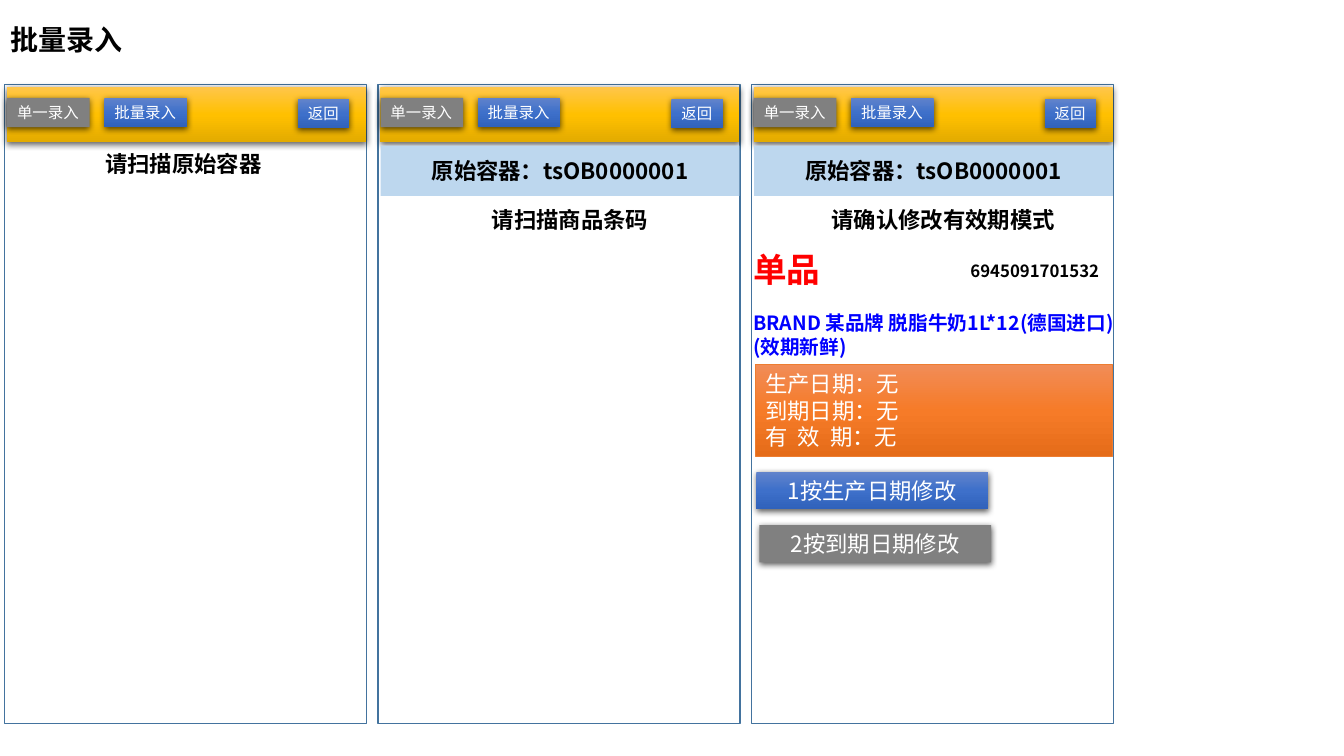
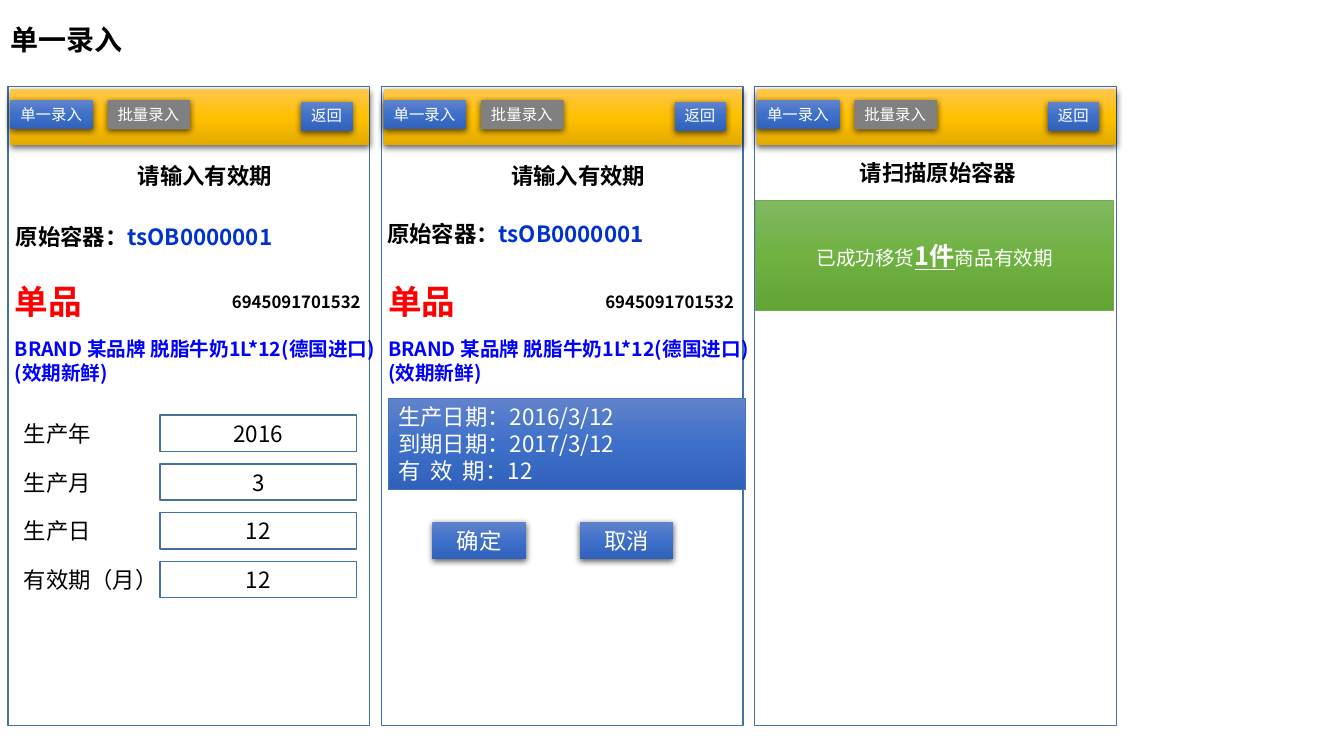
from copy import deepcopy

from lxml.etree import SubElement
from pptx import Presentation
from pptx.dml.color import RGBColor
from pptx.enum.shapes import MSO_SHAPE as Preset
from pptx.enum.text import MSO_ANCHOR as Anchor, MSO_AUTO_SIZE as AutoSize, PP_ALIGN as Align
from pptx.oxml.ns import qn
from pptx.util import Pt

FONT = "Noto Sans CJK SC"
WHITE, BLACK, GREY = "FFFFFF", "000000", "808080"
RED, PRODUCT_BLUE, CODE_BLUE = "FF0000", "0000FF", "0033CC"
OUTLINE, PALE_BLUE = "43739E", "BDD7EE"
GOLD = ("FFC64B", "FFC000", "E3AB00")
BLUE = ("6183CB", "3E70CA", "3062BB")
ORANGE = ("F18C57", "F67B28", "E56C19")
GREEN = ("81B861", "6FB242", "62A336")

SCREEN_WIDTH, SCREEN_HEIGHT, PITCH = 258.5, 456.5, 266.7
BAR_WIDTH, BAR_HEIGHT = 256.3, 39.6
MODES = ("单一录入", "批量录入")
CONTAINER = "tsOB0000001"
PRODUCT = "BRAND 某品牌 脱脂牛奶1L*12(德国进口)(效期新鲜)"


def colour(code):
    return RGBColor.from_string(code)


def add_span(para, text, size=16, color=BLACK, bold=False, underline=False, spacing=0, font=FONT):
    span = para.add_run()
    span.text = text
    span.font.size = Pt(size)
    span.font.bold = bold
    span.font.underline = underline
    span.font.name = font
    span.font.color.rgb = colour(color)
    properties = span.font._element
    SubElement(properties, qn("a:ea")).set("typeface", FONT)
    if spacing:
        properties.set("spc", str(round(spacing * 100)))


def write(box, *lines, align=Align.LEFT, anchor=Anchor.TOP, wrap=True, line_spacing=None, **style):
    frame = box.text_frame
    frame.word_wrap = wrap
    frame.auto_size = AutoSize.NONE
    frame.vertical_anchor = anchor
    for number, line in enumerate(lines):
        para = frame.add_paragraph() if number else frame.paragraphs[0]
        para.alignment = align
        para.line_spacing = line_spacing
        for text, changes in [(line, {})] if isinstance(line, str) else line:
            add_span(para, text, **{**style, **changes})


def paint(shape, fill):
    if fill is None:
        shape.fill.background()
    elif isinstance(fill, str):
        shape.fill.solid()
        shape.fill.fore_color.rgb = colour(fill)
    else:
        shape.fill.gradient()
        shape.fill.gradient_angle = 270
        stops = shape._element.spPr.find(".//" + qn("a:gsLst"))
        stops.append(deepcopy(stops[-1]))
        for stop, position, code in zip(shape.fill.gradient_stops, (0, 0.5, 1), fill):
            stop.position = position
            stop.color.rgb = colour(code)


def cast_shadow(shape):
    effects = shape._element.spPr.find(qn("a:effectLst"))
    shadow = SubElement(effects, qn("a:outerShdw"), blurRad=str(Pt(4.5)), dist=str(Pt(1.5)),
                        dir="5400000", algn="ctr", rotWithShape="0")
    tone = SubElement(shadow, qn("a:srgbClr"), val=BLACK)
    SubElement(tone, qn("a:alpha"), val="63000")


def add_block(page, left, top, width, height, fill=None, line=None, line_width=1, raised=False):
    block = page.shapes.add_shape(Preset.RECTANGLE, Pt(left), Pt(top), Pt(width), Pt(height))
    block.shadow.inherit = False
    paint(block, fill)
    if line:
        block.line.color.rgb = colour(line)
        block.line.width = Pt(line_width)
    else:
        block.line.fill.background()
    if raised:
        cast_shadow(block)
    return block


def add_text(page, left, top, width, height, *lines, **style):
    box = page.shapes.add_textbox(Pt(left), Pt(top), Pt(width), Pt(height))
    write(box, *lines, **style)


def add_tab(page, left, top, width, text, fill=BLUE):
    tab = add_block(page, left, top, width, 20.9, fill, raised=True)
    write(tab, text, size=11, color=WHITE, wrap=False)


def add_button(page, left, top, width, text, fill=BLUE):
    button = add_block(page, left, top, width, 26.6, fill, raised=True)
    write(button, text, color=WHITE, align=Align.CENTER)


def add_screen(page, left, top, active):
    add_block(page, left, top, SCREEN_WIDTH, SCREEN_HEIGHT, WHITE, OUTLINE)
    add_block(page, left + 1.8, top + 1.8, BAR_WIDTH, BAR_HEIGHT, GOLD, raised=True)
    for number, mode in enumerate(MODES):
        add_tab(page, left + 1.8 + number * 69.5, top + 9.6, 59, mode, BLUE if mode == active else GREY)
    add_tab(page, left + 209.6, top + 10.5, 36.7, "返回")


def add_prompt(page, left, top, text):
    add_text(page, left, top, BAR_WIDTH, 26.6, text, bold=True, align=Align.CENTER)


def add_container_band(page, left):
    band = add_block(page, left + 1.9, 104, BAR_WIDTH, 36, PALE_BLUE)
    write(band, "原始容器：" + CONTAINER, bold=True, align=Align.CENTER, anchor=Anchor.MIDDLE)


def add_container_line(page, left, top):
    add_text(page, left, top, SCREEN_WIDTH, 36, [("原始容器：", {}), (CONTAINER, {"color": CODE_BLUE})],
             bold=True, anchor=Anchor.MIDDLE)


def add_product(page, left, top, scale=1):
    add_text(page, left, top + 44.4 * scale, 272.2, 41 * scale, PRODUCT, size=14, color=PRODUCT_BLUE, bold=True)
    add_text(page, left, top, 75.6, 36 * scale, "单品", size=24, color=RED, bold=True)
    add_text(page, left + 155.2, top + 8.4 * scale, 137.5, 21.6 * scale, "6945091701532", size=12, bold=True)


def add_dates(page, left, top, fill, line, made, expires, term):
    card = add_block(page, left, top, 254.9, 65.5, fill, line, 0.5)
    write(card, "生产日期：" + made, "到期日期：" + expires,
          [("有 效 ", {"spacing": 1.8}), ("期：" + term, {})], color=WHITE)


def add_field(page, left, top, label, value):
    add_text(page, left + 4.3, top, 114, 26.6, label)
    entry = add_block(page, left + 108.7, top, 140.4, 25.9, line=OUTLINE)
    write(entry, value, align=Align.CENTER, anchor=Anchor.MIDDLE)


def add_page(deck, title, first_left, top):
    page = deck.slides.add_slide(deck.slide_layouts[5])
    heading = page.shapes.title
    heading.left, heading.top, heading.width, heading.height = Pt(0), Pt(15.8), Pt(828), Pt(27.4)
    write(heading, title, size=20, bold=True, font="Arial", anchor=Anchor.MIDDLE, line_spacing=0.9)
    lefts = [first_left + number * PITCH for number in range(3)]
    for left in lefts:
        add_screen(page, left, top, title)
    return page, lefts


def build_batch_entry(deck):
    page, (scan, goods, confirm) = add_page(deck, "批量录入", 3.3, 60.3)
    add_prompt(page, scan - 0.5, 103.7, "请扫描原始容器")
    for left, prompt in ((goods, "请扫描商品条码"), (confirm, "请确认修改有效期模式")):
        add_prompt(page, left + 9, 143.6, prompt)
        add_container_band(page, left)
    add_product(page, confirm - 5.8, 174.2)
    add_button(page, confirm + 3.6, 337, 165.6, "1按生产日期修改")
    add_button(page, confirm + 5.7, 375.1, 165.6, "2按到期日期修改", GREY)
    add_dates(page, confirm + 2.9, 260.6, ORANGE, "ED7D31", "无", "无", "无")


def build_single_entry(deck):
    page, (entry, review, done) = add_page(deck, "单一录入", 5.6, 62)
    for left in (entry, review):
        add_prompt(page, left + 12.6, 112.3, "请输入有效期")
        add_product(page, left - 2.2, 197.3, 0.9)
    add_container_line(page, entry - 1.4, 151.2)
    add_container_line(page, review - 2.9, 149)
    fields = (("生产年", "2016"), ("生产月", "3"), ("生产日", "12"), ("有效期（月）", "12"))
    for row, (label, value) in enumerate(fields):
        add_field(page, entry, 296.6 + row * 34.8, label, value)
    add_dates(page, review + 5, 284.4, BLUE, "4472C4", "2016/3/12", "2017/3/12", "12")
    for number, text in enumerate(("确定", "取消")):
        add_button(page, review + 36.6 + number * 105.1, 373, 67, text)
    add_prompt(page, done + 2.9, 110.2, "请扫描原始容器")
    result = add_block(page, done + 0.9, 143.3, 255.6, 78.5, GREEN, "70AD47", 0.5)
    count = ("1件", {"size": 18, "bold": True, "underline": True})
    write(result, [("已成功移货", {}), count, ("商品有效期", {})],
          size=14, color=WHITE, align=Align.CENTER, anchor=Anchor.MIDDLE)


def main():
    deck = Presentation()
    deck.slide_width, deck.slide_height = Pt(960), Pt(540)
    build_batch_entry(deck)
    build_single_entry(deck)
    deck.save("out.pptx")


if __name__ == "__main__":
    main()
